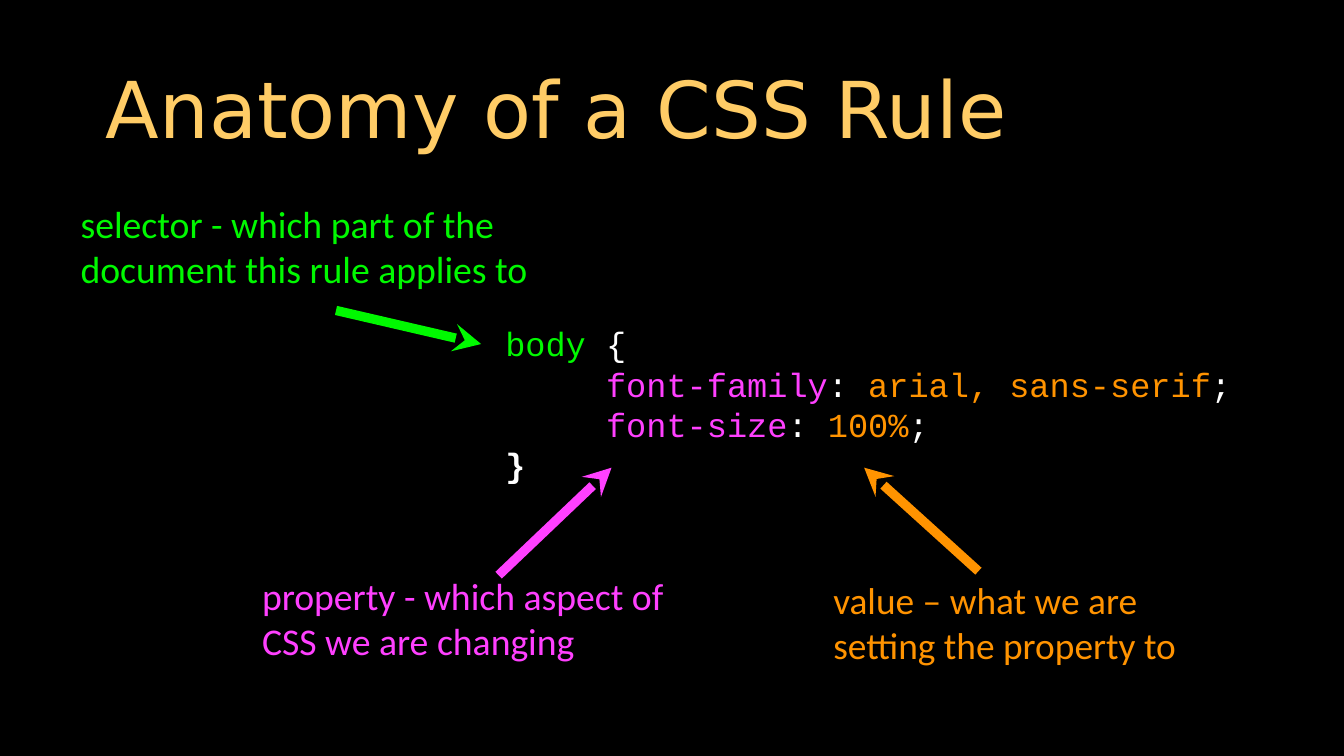
from lxml.etree import SubElement
from pptx import Presentation
from pptx.dml.color import RGBColor
from pptx.enum.shapes import MSO_CONNECTOR
from pptx.enum.text import MSO_ANCHOR
from pptx.oxml.ns import qn
from pptx.util import Inches, Pt

COLORS = {
    "background": "000000",
    "title": "FFCC66",
    "selector": "00F900",
    "property": "FF40FF",
    "value": "FF9300",
    "punctuation": "FFFFFF",
}

SLIDE_WIDTH = 10
SLIDE_HEIGHT = SLIDE_WIDTH * 9 / 16

TITLE = "Anatomy of a CSS Rule"
TITLE_BOX = (0.69, 0.3, 8.62, 1.09)

CODE_BOX = (2.83, 2.37, 6.5, 1.27)
CODE_SIZE = 18
CHARACTER_WIDTH = 0.15
CODE_LINES = [
    (6, [("body ", "selector"), ("{", "punctuation")]),
    (11, [("font-family", "property"), (": ", "punctuation"),
          ("arial, sans-serif", "value"), (";", "punctuation")]),
    (11, [("font-size", "property"), (": ", "punctuation"),
          ("100%", "value"), (";", "punctuation")]),
    (6, [("}", "punctuation")]),
]

LABELS = [
    ("property", "property - which aspect of CSS we are changing", 20.2,
     (1.92, 4.23, 3.08, 0.74)),
    ("selector", "selector - which part of the document this rule applies to", 20.2,
     (0.57, 1.46, 3.98, 0.74)),
    ("value", "value – what we are setting the property to", 20,
     (6.17, 4.26, 2.89, 0.74)),
]

ARROWS = [
    ("selector", (3.58, 2.56), (2.5, 2.31)),
    ("property", (4.55, 3.48), (3.71, 4.28)),
    ("value", (6.43, 3.48), (7.28, 4.25)),
]


def color(name):
    return RGBColor.from_string(COLORS[name])


def add_text_box(slide, box, margin=0.03):
    text_frame = slide.shapes.add_textbox(*map(Inches, box)).text_frame
    text_frame.word_wrap = True
    text_frame.vertical_anchor = MSO_ANCHOR.MIDDLE
    text_frame.margin_left = text_frame.margin_right = Inches(margin)
    text_frame.margin_top = text_frame.margin_bottom = Inches(0.03)
    return text_frame


def add_run(paragraph, text, font_name, size, color_name):
    run = paragraph.add_run()
    run.text = text
    run.font.name = font_name
    run.font.size = Pt(size)
    run.font.color.rgb = color(color_name)
    return run


def add_code(slide):
    text_frame = add_text_box(slide, CODE_BOX)
    for index, (indent, tokens) in enumerate(CODE_LINES):
        paragraph = text_frame.add_paragraph() if index else text_frame.paragraphs[0]
        properties = paragraph._p.get_or_add_pPr()
        properties.set("marL", str(Inches(indent * CHARACTER_WIDTH)))
        properties.set("indent", "0")
        for text, color_name in tokens:
            run = add_run(paragraph, text, "Courier New", CODE_SIZE, color_name)
            run.font.bold = text == "}"


def add_arrow(slide, color_name, tip, end):
    connector = slide.shapes.add_connector(
        MSO_CONNECTOR.STRAIGHT, *map(Inches, tip + end))
    connector.line.color.rgb = color(color_name)
    connector.line.width = Pt(5)
    SubElement(connector.line._get_or_add_ln(), qn("a:headEnd"), type="stealth")
    SubElement(connector._element.spPr, qn("a:effectLst"))


def main():
    presentation = Presentation()
    presentation.slide_width = Inches(SLIDE_WIDTH)
    presentation.slide_height = Inches(SLIDE_HEIGHT)
    slide = presentation.slides.add_slide(presentation.slide_layouts[6])
    slide.background.fill.solid()
    slide.background.fill.fore_color.rgb = color("background")

    title = add_text_box(slide, TITLE_BOX, margin=0.1).paragraphs[0]
    title.line_spacing = 0.9
    add_run(title, TITLE, "DejaVu Sans", 42, "title")

    add_code(slide)
    for color_name, text, size, box in LABELS:
        paragraph = add_text_box(slide, box).paragraphs[0]
        add_run(paragraph, text, "Calibri", size, color_name)
    for arrow in ARROWS:
        add_arrow(slide, *arrow)

    presentation.save("out.pptx")


if __name__ == "__main__":
    main()
